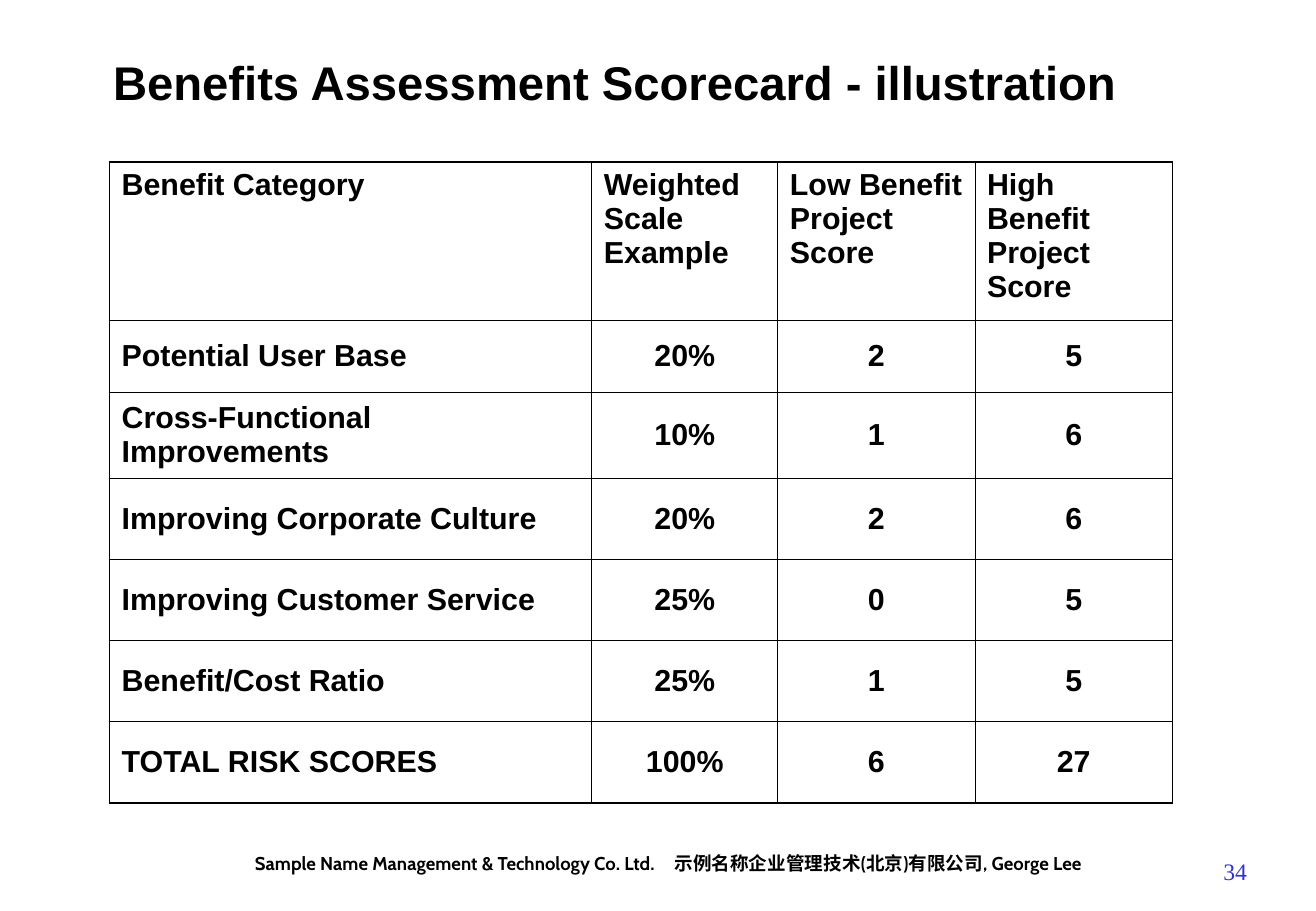
from pptx import Presentation
from pptx.dml.color import RGBColor
from pptx.enum.text import MSO_ANCHOR as Anchor, MSO_AUTO_SIZE as AutoSize, PP_ALIGN as Align
from pptx.oxml.ns import qn
from pptx.util import Cm, Pt
from lxml.etree import SubElement

BLACK, WHITE, NUMBER_BLUE = "000000", "FFFFFF", "3333CC"
THIN, THICK = 0.45, 1.08

COLUMN_WIDTHS = [10.08, 3.89, 4.12, 4.13]
ROW_HEIGHTS = [3.3, 1.52, 1.78] + [1.7] * 4
SCORECARD = [
    ["Benefit Category", "Weighted Scale Example", "Low Benefit Project Score",
     "High Benefit Project Score"],
    ["Potential User Base", "20%", "2", "5"],
    ["Cross-Functional Improvements", "10%", "1", "6"],
    ["Improving Corporate Culture", "20%", "2", "6"],
    ["Improving Customer Service", "25%", "0", "5"],
    ["Benefit/Cost Ratio", "25%", "1", "5"],
    ["TOTAL RISK SCORES", "100%", "6", "27"],
]


def color(value):
    return RGBColor.from_string(value)


def add_span(para, text, size, font="Arial", bold=True, fill=BLACK):
    span = para.add_run()
    span.text = text
    span.font.name = font
    span.font.size = Pt(size)
    span.font.bold = bold
    span.font.color.rgb = color(fill)
    return span


def add_box(page, left, top, width, height, anchor=Anchor.TOP):
    """Add a wrapping text box and return its centred paragraph."""
    box = page.shapes.add_textbox(Cm(left), Cm(top), Cm(width), Cm(height))
    box.text_frame.word_wrap = True
    box.text_frame.vertical_anchor = anchor
    para = box.text_frame.paragraphs[0]
    para.alignment = Align.CENTER
    return para


def set_title(page, text):
    title = page.shapes.title
    title.left, title.top, title.width, title.height = Cm(2.11), Cm(0.84), Cm(23.37), Cm(2.11)
    frame = title.text_frame
    frame.auto_size = AutoSize.NONE
    frame.vertical_anchor = Anchor.MIDDLE
    para = frame.paragraphs[0]
    para.alignment = Align.LEFT
    para.line_spacing = 0.6
    add_span(para, text, 28)


def set_borders(cell, widths):
    """Draw the left, right, top and bottom borders with widths in points."""
    properties = cell._tc.get_or_add_tcPr()
    for side, width in zip("LRTB", widths):
        line = SubElement(properties, qn(f"a:ln{side}"), w=str(Pt(width)))
        fill = SubElement(line, qn("a:solidFill"))
        SubElement(fill, qn("a:srgbClr"), val=BLACK)


def add_scorecard(page):
    last_row, last_column = len(ROW_HEIGHTS) - 1, len(COLUMN_WIDTHS) - 1
    table = page.shapes.add_table(
        last_row + 1, last_column + 1, Cm(2.29), Cm(3.39),
        Cm(sum(COLUMN_WIDTHS)), Cm(sum(ROW_HEIGHTS))).table
    table.first_row = table.horz_banding = False
    for column, width in zip(table.columns, COLUMN_WIDTHS):
        column.width = Cm(width)
    for row, height in zip(table.rows, ROW_HEIGHTS):
        row.height = Cm(height)
    for r, texts in enumerate(SCORECARD):
        for c, text in enumerate(texts):
            cell = table.cell(r, c)
            outer = (c == 0, c == last_column, r == 0, r == last_row)
            set_borders(cell, [THICK if edge else THIN for edge in outer])
            cell.fill.solid()
            cell.fill.fore_color.rgb = color(WHITE)
            cell.vertical_anchor = Anchor.MIDDLE if r else Anchor.TOP
            para = cell.text_frame.paragraphs[0]
            para.alignment = Align.CENTER if r and c else Align.LEFT
            add_span(para, text, 18)


def add_footer(page):
    para = add_box(page, 3.81, 17.7, 20.32, 0.74)
    add_span(para, "Sample Name Management & Technology Co. Ltd.", 11, "Cabin")
    gap = add_span(para, " ", 11, "Cabin")
    gap._r.get_or_add_rPr().set("spc", "900")
    add_span(para, "示例名称企业管理技术(北京)有限公司, George Lee", 11, "Cabin")


def add_page_number(page):
    para = add_box(page, 24.13, 17.58, 3.38, 1.27, Anchor.MIDDLE)
    add_span(para, "34", 14, "Times New Roman", False, NUMBER_BLUE)


def main():
    deck = Presentation()
    deck.slide_width, deck.slide_height = Cm(27.51), Cm(19.05)
    page = deck.slides.add_slide(deck.slide_layouts[5])
    add_footer(page)
    set_title(page, "Benefits Assessment Scorecard - illustration")
    add_scorecard(page)
    add_page_number(page)
    deck.save("out.pptx")


if __name__ == "__main__":
    main()
